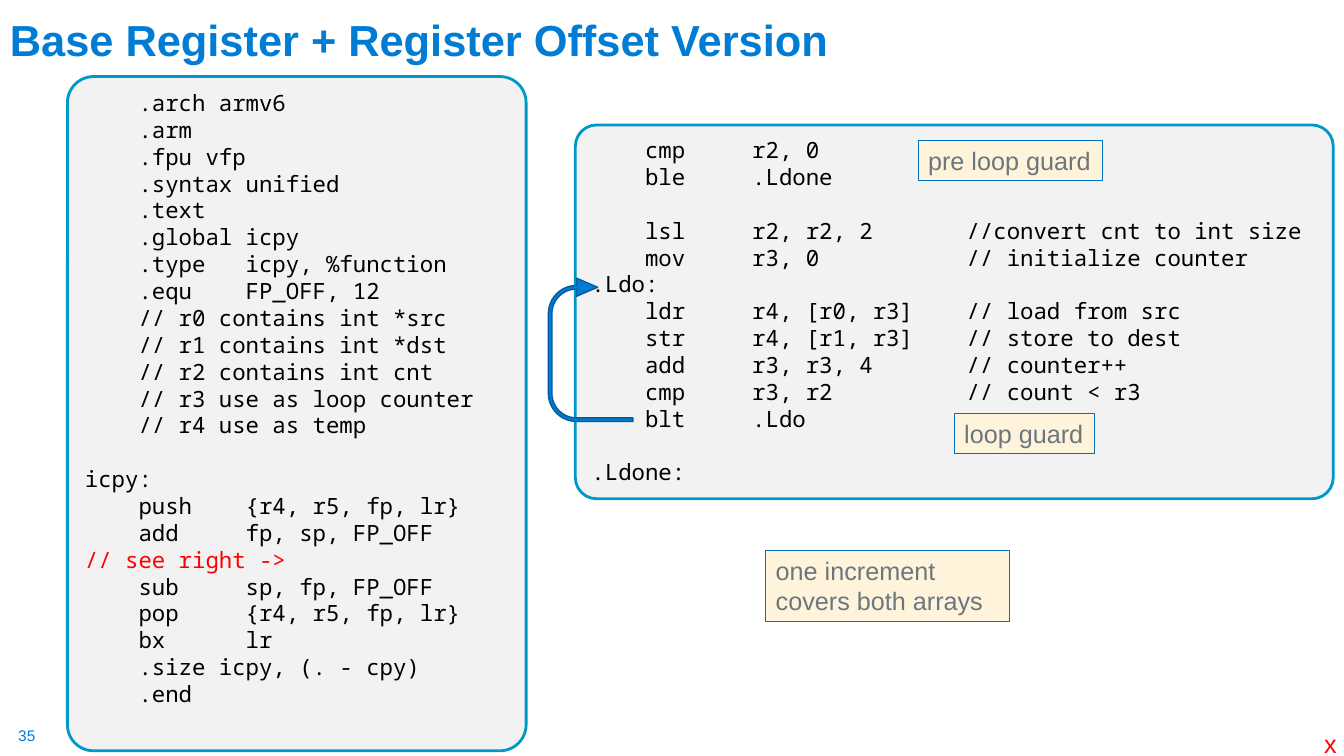
from pptx import Presentation
from pptx import util as u
from pptx.dml.color import RGBColor
from pptx.enum import shapes, text

COLORS = {
    "title": "007CD5", "code": "000000", "alert": "FF0000", "panel": "F2F2F2",
    "panel_line": "0098C9", "arrow": "007CD5", "arrow_line": "005C9E",
    "note": "FFF4DB", "note_line": "0070C0", "note_text": "6B767D",
}
SANS, MONO = "Arial", "Noto Sans Mono"
CODE_LINE = u.Pt(19.2)
POINTER = "// see right ->"

FUNCTION_CODE = """\
    .arch armv6
    .arm
    .fpu vfp
    .syntax unified
    .text
    .global icpy
    .type   icpy, %function
    .equ    FP_OFF, 12
    // r0 contains int *src
    // r1 contains int *dst
    // r2 contains int cnt
    // r3 use as loop counter
    // r4 use as temp

icpy:
    push    {r4, r5, fp, lr}
    add     fp, sp, FP_OFF
// see right ->
    sub     sp, fp, FP_OFF
    pop     {r4, r5, fp, lr}
    bx      lr
    .size icpy, (. - cpy)
    .end"""

LOOP_CODE = """\
    cmp     r2, 0
    ble     .Ldone

    lsl     r2, r2, 2       //convert cnt to int size
    mov     r3, 0           // initialize counter
.Ldo:
    ldr     r4, [r0, r3]    // load from src
    str     r4, [r1, r3]    // store to dest
    add     r3, r3, 4       // counter++
    cmp     r3, r2          // count < r3
    blt     .Ldo

.Ldone:"""

# Places are left, top, width, height in centimetres.
LOOP_PANEL = (14.5, 3.15, 19.1, 9.42)
FUNCTION_PANEL = (1.7, 1.93, 11.56, 16.99)
LOOP_ARROW = (13.08, 7.75, 3.61, 2.13)
ARROW_ADJUSTMENTS = (0.042, 0.107, 0.25, 0.438, 0.583)
TITLE = ("Base Register + Register Offset Version", (0, -0.2, 23.14, 1.98))
PAGE_NUMBER = ("35", (0.46, 18.31, 0.48, 0.48))
CORNER_MARK = ("x", (33.12, 18.24, 0.84, 1.02))
NOTES = [
    ("loop guard", (24.05, 10.41, 3.53, 1.02), False),
    ("pre loop guard", (23.14, 3.53, 4.65, 1.02), False),
    ("one increment covers both arrays", (19.3, 13.87, 6.15, 1.8), True),
]


def color(name):
    return RGBColor.from_string(COLORS[name])


def lengths(place):
    return [u.Cm(value) for value in place]


def set_font(para, name, size, color_name, bold=False):
    para.font.name = name
    para.font.size = u.Pt(size)
    para.font.bold = bold
    para.font.color.rgb = color(color_name)


def add_box(page, kind, place, fill, line, width):
    box = page.shapes.add_shape(kind, *lengths(place))
    box.shadow.inherit = False
    box.fill.solid()
    box.fill.fore_color.rgb = color(fill)
    box.line.color.rgb = color(line)
    box.line.width = u.Pt(width)
    box.text_frame.vertical_anchor = text.MSO_ANCHOR.TOP
    return box


def add_code(page, code, place):
    """Add a rounded panel of code; an empty line becomes space before the next."""
    box = add_box(page, shapes.MSO_SHAPE.ROUNDED_RECTANGLE, place, "panel", "panel_line", 2)
    box.adjustments[0] = 0.057
    frame = box.text_frame
    frame.word_wrap = True
    para, gap = frame.paragraphs[0], False
    for line in code.split("\n"):
        if not line:
            gap = True
            continue
        if para.text:
            para = frame.add_paragraph()
        para.text = line
        para.alignment = text.PP_ALIGN.LEFT
        if gap:
            para.space_before = CODE_LINE
        gap = False
        set_font(para, MONO, 16, "alert" if line == POINTER else "code")


def add_label(page, words, place, size, color_name, bold=False):
    frame = page.shapes.add_textbox(*lengths(place)).text_frame
    frame.word_wrap = False
    para = frame.paragraphs[0]
    para.text = words
    set_font(para, SANS, size, color_name, bold)
    return frame


def add_title(page):
    frame = add_label(page, *TITLE, 31, "title", bold=True)
    frame.word_wrap = True
    frame.vertical_anchor = text.MSO_ANCHOR.BOTTOM
    frame.paragraphs[0].line_spacing = 0.9


def add_page_number(page):
    frame = add_label(page, *PAGE_NUMBER, 11, "title")
    frame.margin_left = frame.margin_right = frame.margin_top = frame.margin_bottom = 0


def add_loop_arrow(page):
    arrow = add_box(page, shapes.MSO_SHAPE.U_TURN_ARROW, LOOP_ARROW, "arrow", "arrow_line", 1)
    arrow.rotation = 270
    for index, value in enumerate(ARROW_ADJUSTMENTS):
        arrow.adjustments[index] = value


def add_note(page, words, place, wrap):
    box = add_box(page, shapes.MSO_SHAPE.RECTANGLE, place, "note", "note_line", 0.75)
    box.text_frame.word_wrap = wrap
    para = box.text_frame.paragraphs[0]
    para.text = words
    para.alignment = text.PP_ALIGN.LEFT
    set_font(para, SANS, 18, "note_text")


def main():
    deck = Presentation()
    deck.slide_width, deck.slide_height = u.Cm(33.87), u.Cm(19.05)
    page = deck.slides.add_slide(deck.slide_layouts[6])
    add_page_number(page)
    add_code(page, LOOP_CODE, LOOP_PANEL)
    add_title(page)
    add_code(page, FUNCTION_CODE, FUNCTION_PANEL)
    add_label(page, *CORNER_MARK, 18, "alert")
    add_loop_arrow(page)
    for note in NOTES:
        add_note(page, *note)
    deck.save("out.pptx")


if __name__ == "__main__":
    main()
